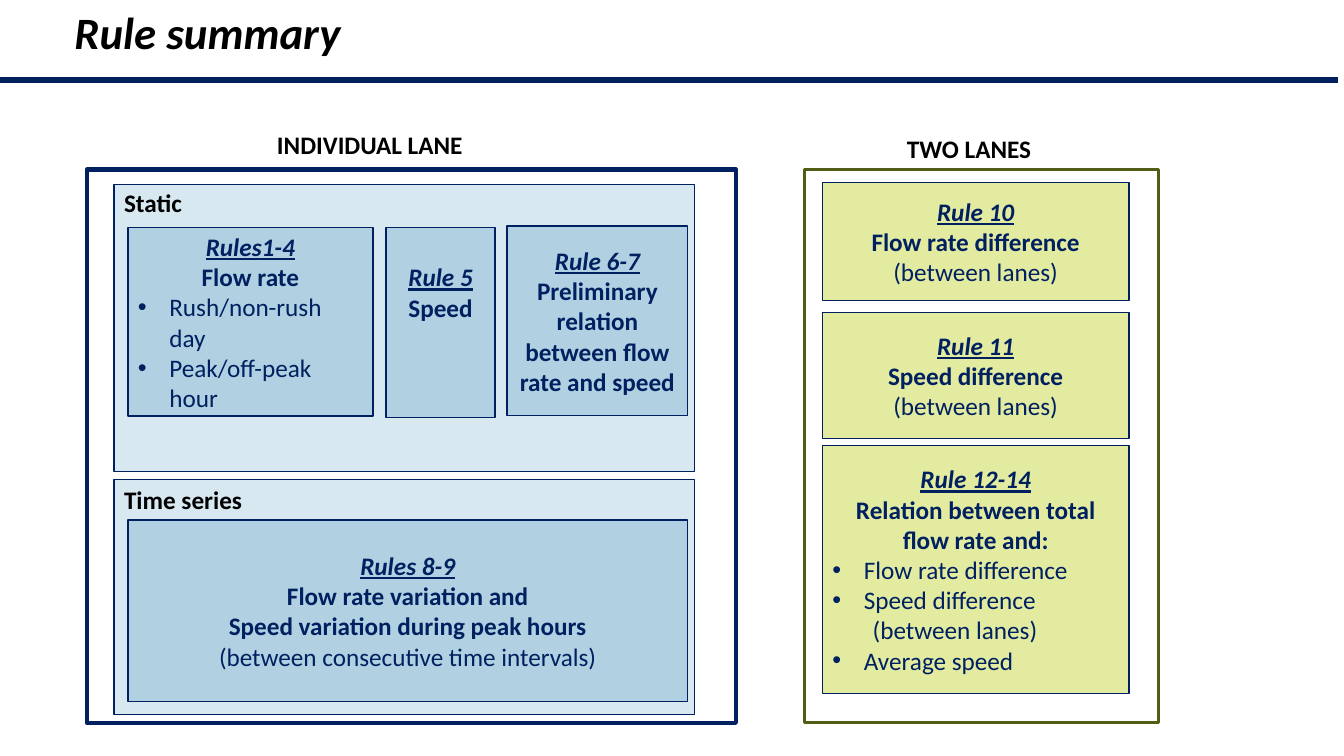
from pptx import Presentation
from pptx.dml.color import RGBColor
from pptx.enum.shapes import MSO_CONNECTOR, MSO_SHAPE
from pptx.enum.text import MSO_ANCHOR, PP_ALIGN
from pptx.oxml.ns import qn
from pptx.util import Pt
from lxml.etree import SubElement

# Content: all lengths in points
NAVY, OLIVE, BLACK, WHITE = "002060", "535C14", "000000", "FFFFFF"
PALE_BLUE, BLUE, GREEN = "D8E8F1", "B1D1E3", "E2EBA0"
FONT = "Calibri"
BULLET_INDENT, NOTE_INDENT = 22.5, 28.8

# left, top, width, height, fill, line colour, line width
PANELS = [
    (62, 121, 463.7, 395.3, WHITE, NAVY, 3),
    (81.5, 342.7, 414.7, 167.8, PALE_BLUE, NAVY, 1),
    (81.5, 131.8, 414.7, 205.2, PALE_BLUE, NAVY, 1),
    (574.6, 121, 252.7, 395.3, WHITE, OLIVE, 2.25),
]

# text, left, top, width, height, size, italic
LABELS = [
    ("Rule summary", 46.1, 0, 217.4, 46.1, 32, True),
    ("Static", 81.5, 130.3, 64.1, 29, 18, False),
    ("Time series", 81.5, 342.7, 113.8, 29, 18, False),
    ("INDIVIDUAL LANE", 190.8, 88.6, 187.2, 29, 18, False),
    ("TWO LANES", 640.8, 91.4, 131.8, 29, 18, False),
]

# left, top, width, height, fill, bottom inset, (style, text) lines
RULES = [
    (91.4, 162.7, 175, 134.6, BLUE, 3.6, [
        ("rule", "Rules1-4"), ("topic", "Flow rate"),
        ("bullet", "Rush/non-rush day"), ("bullet", "Peak/off-peak hour")]),
    (275.8, 162.7, 77.8, 135.4, BLUE, 47.5, [
        ("rule", "Rule 5"), ("topic", "Speed")]),
    (362.2, 161.5, 129, 135.4, BLUE, 3.6, [
        ("rule", "Rule 6-7"),
        ("topic", "Preliminary relation between flow rate and speed")]),
    (91.4, 371.5, 399.8, 129.6, BLUE, 3.6, [
        ("rule", "Rules 8-9"), ("topic", "Flow rate variation and"),
        ("topic", "Speed variation during peak hours"),
        ("plain", "(between consecutive time intervals)")]),
    (587.5, 130.3, 218.9, 84.2, GREEN, 3.6, [
        ("rule", "Rule 10"), ("topic", "Flow rate difference"),
        ("plain", "(between lanes)")]),
    (587.5, 223.2, 218.9, 90, GREEN, 3.6, [
        ("rule", "Rule 11"), ("topic", "Speed difference"),
        ("plain", "(between lanes)")]),
    (587.5, 318.2, 218.9, 177.1, GREEN, 3.6, [
        ("rule", "Rule 12-14"),
        ("topic", "Relation between total flow rate and:"),
        ("bullet", "Flow rate difference"), ("bullet", "Speed difference"),
        ("note", "(between lanes)"), ("bullet", "Average speed")]),
]

STYLES = {
    "rule": {"bold": True, "italic": True, "underline": True},
    "topic": {"bold": True},
    "plain": {"bold": False},
    "bullet": {"bold": False},
    "note": {"bold": False},
}


def color(value):
    return RGBColor.from_string(value)


def add_text(para, text, size, ink, **formats):
    span = para.add_run()
    span.text = text
    span.font.color.rgb = color(ink)
    for name, value in {"name": FONT, "size": Pt(size), **formats}.items():
        setattr(span.font, name, value)


def add_box(page, area, fill, line, line_width):
    box = page.shapes.add_shape(MSO_SHAPE.RECTANGLE, *map(Pt, area))
    box.shadow.inherit = False
    box.fill.solid()
    box.fill.fore_color.rgb = color(fill)
    box.line.color.rgb = color(line)
    box.line.width = Pt(line_width)
    return box


def set_layout(para, style):
    para.alignment = PP_ALIGN.LEFT if style in ("bullet", "note") else PP_ALIGN.CENTER
    properties = para._p.get_or_add_pPr()
    if style == "bullet":
        properties.set("marL", str(Pt(BULLET_INDENT)))
        properties.set("indent", str(-Pt(BULLET_INDENT)))
        SubElement(properties, qn("a:buFont")).set("typeface", "Arial")
        SubElement(properties, qn("a:buChar")).set("char", "•")
    elif style == "note":
        properties.set("marL", str(Pt(NOTE_INDENT)))


def add_rule(page, area, fill, bottom_inset, lines):
    frame = add_box(page, area, fill, NAVY, 1).text_frame
    frame.word_wrap = True
    frame.vertical_anchor = MSO_ANCHOR.MIDDLE
    frame.margin_bottom = Pt(bottom_inset)
    for index, (style, text) in enumerate(lines):
        para = frame.add_paragraph() if index else frame.paragraphs[0]
        set_layout(para, style)
        add_text(para, text, 18, NAVY, **STYLES[style])


def main():
    deck = Presentation()
    deck.slide_width, deck.slide_height = Pt(960), Pt(540)
    page = deck.slides.add_slide(deck.slide_layouts[6])

    # Panels and the line under the title
    for *area, fill, line, line_width in PANELS:
        add_box(page, area, fill, line, line_width)
    divider = page.shapes.add_connector(
        MSO_CONNECTOR.STRAIGHT, Pt(0), Pt(57), Pt(955.5), Pt(57))
    divider.line.color.rgb = color(NAVY)
    divider.line.width = Pt(4.5)
    SubElement(divider._element.spPr, qn("a:effectLst"))

    # Rule boxes
    for *area, fill, bottom_inset, lines in RULES:
        add_rule(page, area, fill, bottom_inset, lines)

    # Title and labels
    for text, *area, size, italic in LABELS:
        frame = page.shapes.add_textbox(*map(Pt, area)).text_frame
        frame.word_wrap = True
        add_text(frame.paragraphs[0], text, size, BLACK, bold=True, italic=italic)

    deck.save("out.pptx")


if __name__ == "__main__":
    main()
